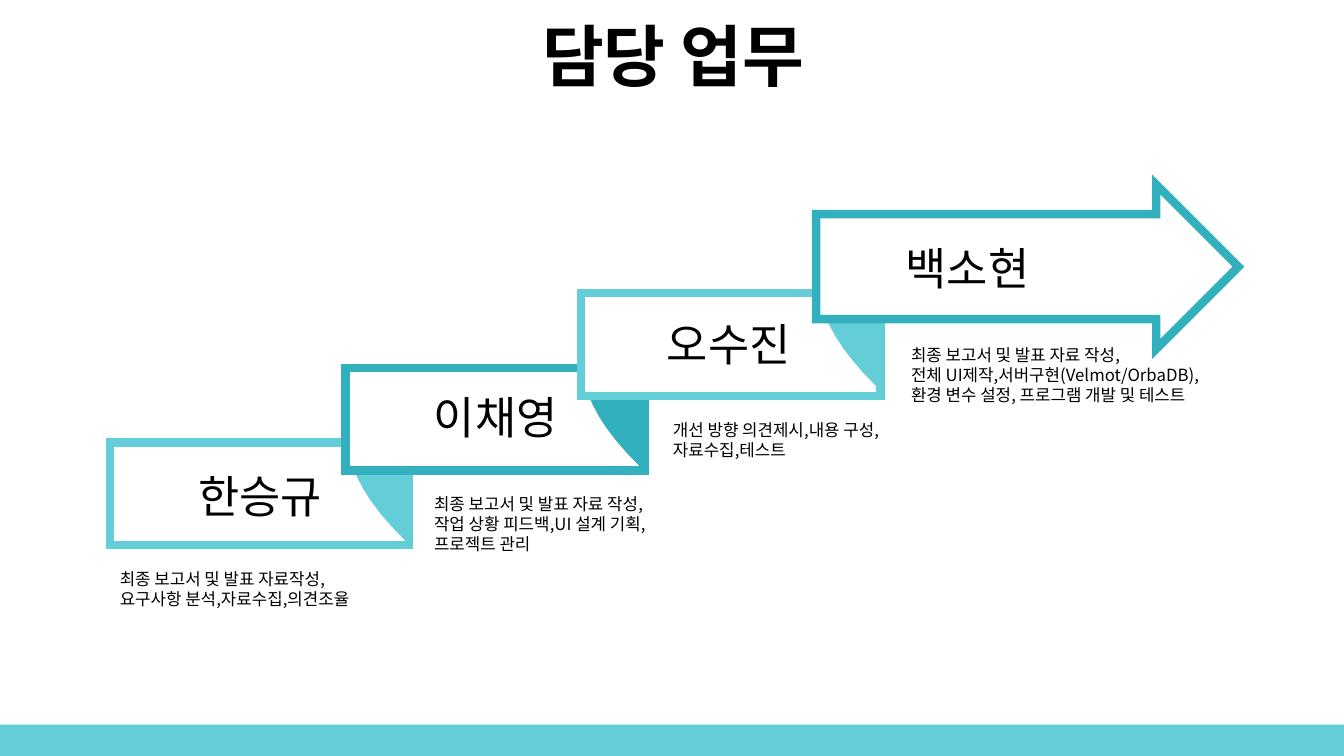
from lxml import etree
from pptx import Presentation
from pptx.dml.color import RGBColor
from pptx.enum.shapes import MSO_SHAPE
from pptx.enum.text import MSO_ANCHOR, MSO_AUTO_SIZE, PP_ALIGN
from pptx.oxml.ns import qn
from pptx.util import Cm, Pt

RECTANGLE, RIGHT_ARROW = MSO_SHAPE.RECTANGLE, MSO_SHAPE.RIGHT_ARROW
TOP, MIDDLE = MSO_ANCHOR.TOP, MSO_ANCHOR.MIDDLE
LEFT, CENTER = PP_ALIGN.LEFT, PP_ALIGN.CENTER
NO_AUTOFIT = MSO_AUTO_SIZE.NONE

AQUA = RGBColor(0x64, 0xCE, 0xD8)
TEAL = RGBColor(0x32, 0xB0, 0xBE)
WHITE = RGBColor(0xFF, 0xFF, 0xFF)
BLACK = RGBColor(0x00, 0x00, 0x00)
FONT = "Noto Sans CJK KR"

STEP_WIDTH, STEP_HEIGHT = 7.54, 2.59
STEP_X, STEP_Y = 5.94, 1.88
FIRST_LEFT, FIRST_TOP = 2.77, 11.15


def write_text(shape, lines, size, bold=False, align=LEFT, anchor=TOP):
    frame = shape.text_frame
    frame.word_wrap = True
    frame.auto_size = NO_AUTOFIT
    frame.vertical_anchor = anchor
    frame.text = "\n".join(lines)
    for paragraph in frame.paragraphs:
        paragraph.alignment = align
        for run in paragraph.runs:
            run.font.name = FONT
            run.font.size = Pt(size)
            run.font.bold = bold
            run.font.color.rgb = BLACK
            east_asian = etree.SubElement(run.font._element, qn("a:ea"))
            east_asian.set("typeface", FONT)


def paint(shape, fill, line, join="miter"):
    shape.shadow.inherit = False
    shape.fill.solid()
    shape.fill.fore_color.rgb = fill
    shape.line.color.rgb = line
    shape.line.width = Pt(6)
    etree.SubElement(shape.line._get_or_add_ln(), qn(f"a:{join}"))


presentation = Presentation()
presentation.slide_width = Cm(33.87)
presentation.slide_height = Cm(19.05)
slide = presentation.slides.add_slide(presentation.slide_layouts[5])
shapes = slide.shapes

title = shapes.title
title.left, title.top, title.width, title.height = Cm(0.89), Cm(0.38), Cm(32.16), Cm(2.01)
write_text(title, ["담당 업무"], 48, bold=True, align=CENTER, anchor=MIDDLE)

footer = shapes.add_shape(RECTANGLE, 0, Cm(18.26), presentation.slide_width, Cm(0.79))
footer.shadow.inherit = False
footer.fill.solid()
footer.fill.fore_color.rgb = AQUA
footer.line.fill.background()

steps = [(AQUA, 8.81, 9.68), (TEAL, 14.73, 7.82), (AQUA, 20.69, 5.8)]
for index, (color, fold_left, fold_top) in enumerate(steps):
    box = shapes.add_shape(RECTANGLE, Cm(FIRST_LEFT + index * STEP_X),
                           Cm(FIRST_TOP - index * STEP_Y), Cm(STEP_WIDTH), Cm(STEP_HEIGHT))
    paint(box, WHITE, color)

    outline = [(1.47, 1.42), (1.47, 3.86)]
    for part in range(1, 13):
        t = part / 12
        weights = ((1 - t) ** 3, 3 * t * (1 - t) ** 2, 3 * t ** 2 * (1 - t), t ** 3)
        curve = ((1.47, 3.86), (0.03, 2.44), (0.03, 1.63), (0, 0.79))
        outline.append(tuple(sum(weight * point[axis] for weight, point in zip(weights, curve))
                             for axis in (0, 1)))
    builder = shapes.build_freeform(Cm(fold_left), Cm(fold_top))
    builder.add_line_segments([(Cm(fold_left + x), Cm(fold_top + y)) for x, y in outline])
    paint(builder.convert_to_shape(), color, color, join="bevel")

arrow = shapes.add_shape(RIGHT_ARROW, Cm(20.57), Cm(4.65), Cm(10.64), Cm(4.14))
arrow.adjustments[0], arrow.adjustments[1] = 0.639, 0.5
paint(arrow, WHITE, TEAL)

members = [
    ("한승규", 2.77, 11.2, 2.77, 7.19,
     ["최종 보고서 및 발표 자료작성,", "요구사항 분석,자료수집,의견조율"]),
    ("이채영", 8.71, 9.22, 10.69, 6.88,
     ["최종 보고서 및 발표 자료 작성,", "작업 상황 피드백,UI 설계 기획, 프로젝트 관리"]),
    ("오수진", 14.58, 7.37, 16.71, 6.88,
     ["개선 방향 의견제시,내용 구성,", "자료수집,테스트"]),
    ("백소현", 20.6, 5.46, 22.71, 8.53,
     ["최종 보고서 및 발표 자료 작성,",
      "전체 UI제작,서버구현(Velmot/OrbaDB), 환경 변수 설정, 프로그램 개발 및 테스트"]),
]
for index, (name, left, top, duties_left, duties_width, duties) in enumerate(members):
    duties_box = shapes.add_textbox(Cm(duties_left), Cm(14.2 - index * STEP_Y),
                                    Cm(duties_width), Cm(1.35))
    write_text(duties_box, duties, 12)
    name_box = shapes.add_textbox(Cm(left), Cm(top), Cm(7.57), Cm(2.57))
    write_text(name_box, [name], 32, align=CENTER, anchor=MIDDLE)

presentation.save("out.pptx")
